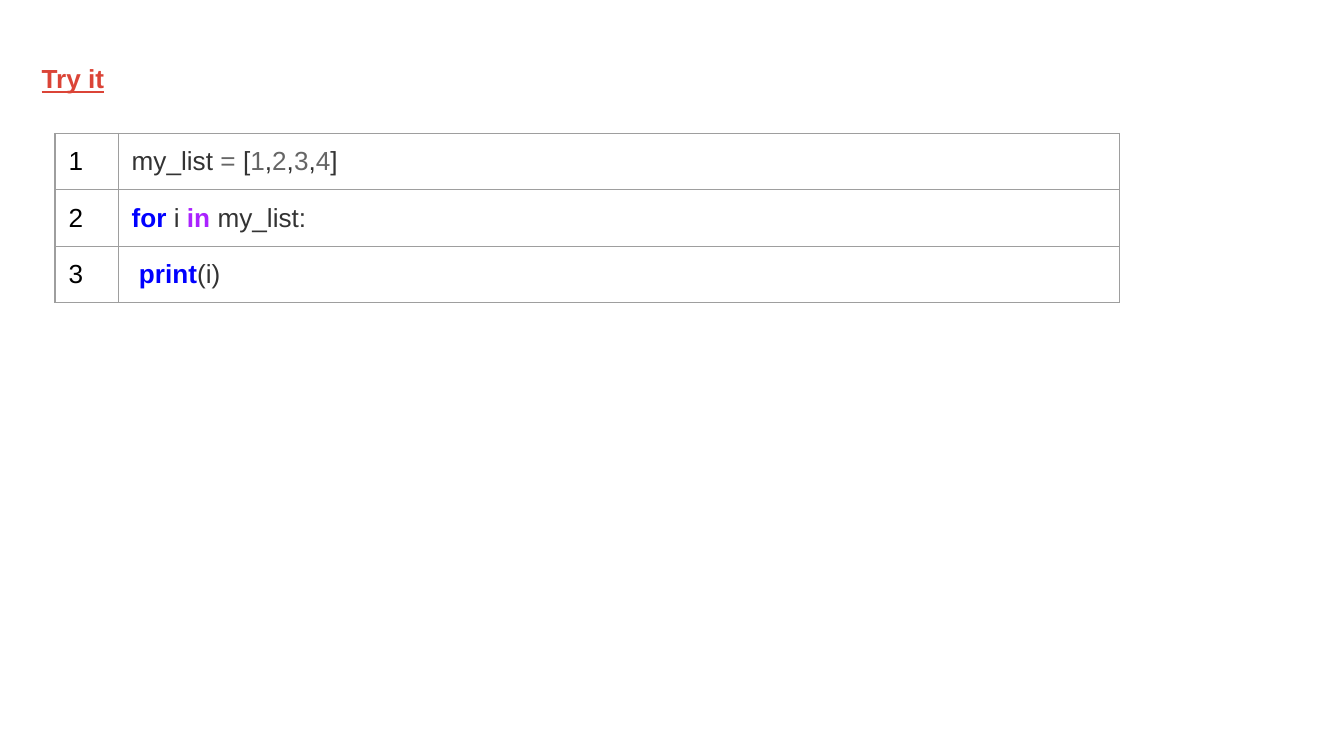
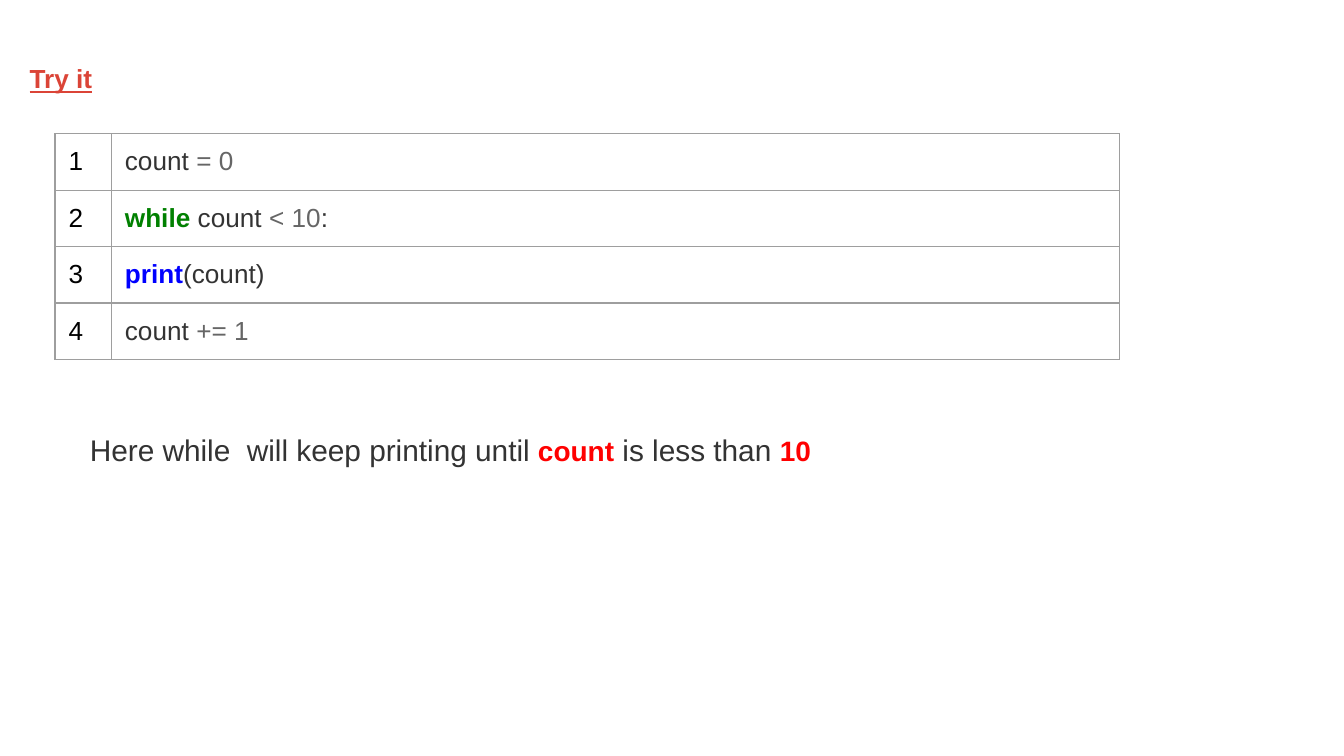
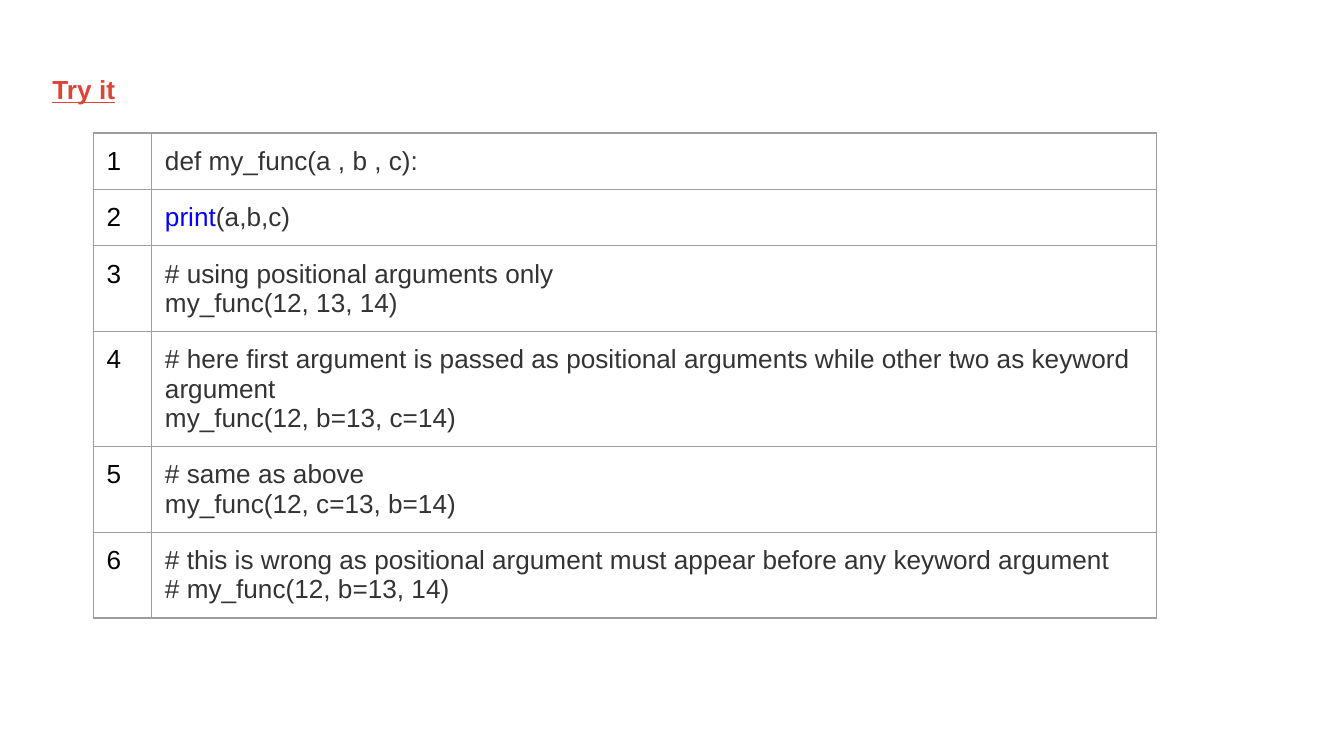
from dataclasses import dataclass
from typing import NamedTuple

from lxml import etree
from pptx import Presentation
from pptx import util as u
from pptx.dml import color
from pptx.enum import text as t
from pptx.oxml import ns

WIDE = u.Inches(10)
HIGH = WIDE * 9 // 16
COL, ROW = WIDE / 100, HIGH / 56.25
PAD = 1
FONT = "Arial"
HEAD, EDGE = "DB4437", "9E9E9E"
INK, GREY, BLACK = "333333", "666666", "000000"
BLUE, PINK, GREEN, RED = "0000FF", "AA22FF", "008000", "FF0000"


class Span(NamedTuple):
    text: str
    tone: str = INK
    bold: bool = False
    size: float = 14
    line: bool = False


Line = list[Span]


class Box(NamedTuple):
    left: float
    top: float
    wide: float
    high: float


@dataclass
class Page:
    head: Box
    left: float
    top: float
    cols: tuple[float, float]
    code: list[list[Line]]


def hue(code: str) -> color.RGBColor:
    return color.RGBColor.from_string(code)


def across(count: float) -> int:
    return round(count * COL)


def down(count: float) -> int:
    return round(count * ROW)


def put(frame, lines: list[Line], align=None, space=None, before=None, after=None) -> None:
    for i, line in enumerate(lines):
        para = frame.add_paragraph() if i else frame.paragraphs[0]
        para.alignment, para.line_spacing = align, space
        para.space_before = None if before is None else u.Pt(before)
        para.space_after = None if after is None else u.Pt(after)
        for span in line:
            run = para.add_run()
            run.text = span.text
            font = run.font
            font.name, font.size = FONT, u.Pt(span.size)
            font.bold, font.underline = span.bold, span.line
            font.color.rgb = hue(span.tone)


def place(shape, box: Box) -> None:
    shape.left, shape.top = across(box.left), down(box.top)
    shape.width, shape.height = across(box.wide), down(box.high)


def inset(item) -> None:
    item.margin_left = item.margin_right = across(PAD)
    item.margin_top = item.margin_bottom = down(PAD)
    item.vertical_anchor = t.MSO_ANCHOR.TOP


def frame_of(shape, size: t.MSO_AUTO_SIZE):
    frame = shape.text_frame
    inset(frame)
    frame.word_wrap = True
    frame.auto_size = size
    return frame


def rule(cell) -> None:
    props = cell._tc.get_or_add_tcPr()
    for side in ("lnL", "lnR", "lnT", "lnB"):
        edge = etree.SubElement(props, ns.qn(f"a:{side}"), w=str(u.Pt(0.75)))
        fill = etree.SubElement(edge, ns.qn("a:solidFill"))
        etree.SubElement(fill, ns.qn("a:srgbClr"), val=EDGE)


def grid(slide, page: Page) -> None:
    high = 4.2
    shape = slide.shapes.add_table(
        len(page.code), len(page.cols), across(page.left), down(page.top),
        across(sum(page.cols)), down(high * len(page.code)))
    table = shape.table
    table.first_row = table.horz_banding = False
    for col, wide in zip(table.columns, page.cols):
        col.width = across(wide)
    for i, lines in enumerate(page.code):
        table.rows[i].height = down(high)
        for j, part in enumerate(([[Span(str(i + 1), BLACK)]], lines)):
            cell = table.cell(i, j)
            inset(cell)
            rule(cell)
            cell.fill.background()
            put(cell.text_frame, part)


def draw(deck, page: Page):
    slide = deck.slides.add_slide(deck.slide_layouts[5])
    head = slide.shapes.title
    place(head, page.head)
    put(frame_of(head, t.MSO_AUTO_SIZE.NONE), [[Span("Try it", HEAD, True, line=True)]],
        align=t.PP_ALIGN.JUSTIFY, space=1.5, before=12)
    grid(slide, page)
    return slide


def note(slide, box: Box, line: Line) -> None:
    shape = slide.shapes.add_textbox(0, 0, 0, 0)
    place(shape, box)
    put(frame_of(shape, t.MSO_AUTO_SIZE.SHAPE_TO_FIT_TEXT), [line], space=1.15, after=18)


def plain(*lines: str) -> list[Line]:
    return [[Span(line)] for line in lines]


LIST = [Span("my_list "), Span("=", GREY), Span(" [")]
for n in range(1, 5):
    LIST += [Span(str(n), GREY), Span("," if n < 4 else "]")]

FOR = Page(Box(2.1, 2.5, 93.9, 5), 4.1, 9.93, (4.7, 74.5), [
    [LIST],
    [[Span("for ", BLUE, True), Span("i "), Span("in", PINK, True), Span(" my_list:")]],
    [[Span(" "), Span("print", BLUE, True), Span("(i)")]],
])
WHILE = Page(Box(1.2, 2.5, 93.2, 6.6), 4.1, 9.95, (4.2, 75), [
    [[Span("count "), Span("= 0", GREY)]],
    [[Span("while", GREEN, True), Span(" count "), Span("< 10", GREY), Span(":")]],
    [[Span("print", BLUE, True), Span("(count)")]],
    [[Span("count "), Span("+= 1", GREY)]],
])
FUNC = Page(Box(2.9, 3.3, 93.2, 6.6), 6.93, 9.9, (4.35, 74.8), [
    plain("def my_func(a , b , c):"),
    [[Span("print", BLUE), Span("(a,b,c)")]],
    plain("# using positional arguments only", "my_func(12, 13, 14)"),
    plain("# here first argument is passed as positional arguments while other two as keyword argument",
          "my_func(12, b=13, c=14)"),
    plain("# same as above", "my_func(12, c=13, b=14)"),
    plain("# this is wrong as positional argument must appear before any keyword argument",
          "# my_func(12, b=13, 14)"),
])
HINT = [
    Span("Here while  will keep printing until", size=16), Span(" count", RED, True, 15),
    Span(" is less than ", size=16), Span("10", RED, True, 15),
]


def main() -> None:
    deck = Presentation()
    deck.slide_width, deck.slide_height = WIDE, HIGH
    draw(deck, FOR)
    note(draw(deck, WHILE), Box(5.7, 30.75, 73.6, 4.7), HINT)
    draw(deck, FUNC)
    deck.save("out.pptx")


if __name__ == "__main__":
    main()
